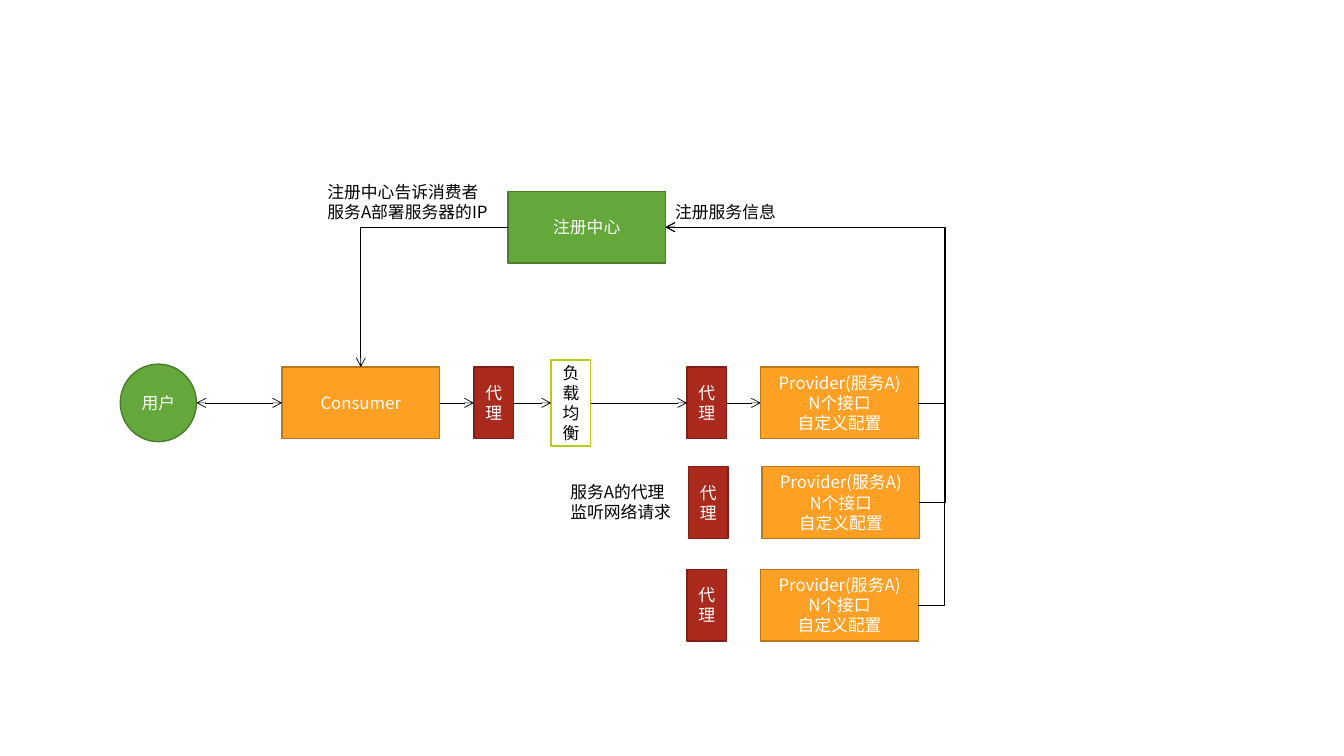
"""Build a service registry diagram: user, consumer, proxies, providers and registry."""
from lxml import etree
from pptx import Presentation
from pptx.dml.color import RGBColor
from pptx.enum.shapes import MSO_CONNECTOR as Connector, MSO_SHAPE as Shape
from pptx.enum.text import MSO_ANCHOR as Anchor, PP_ALIGN as Align
from pptx.oxml.ns import qn
from pptx.util import Pt

FONT = "Noto Sans CJK SC"
BLACK = RGBColor(0x00, 0x00, 0x00)
WHITE = RGBColor(0xFF, 0xFF, 0xFF)
GREEN = (RGBColor(0x64, 0xA7, 0x3B), RGBColor(0x4A, 0x7C, 0x2C))
ORANGE = (RGBColor(0xFD, 0xA0, 0x23), RGBColor(0xBB, 0x76, 0x1A))
RED = (RGBColor(0xAA, 0x2B, 0x1E), RGBColor(0x7E, 0x20, 0x16))
LIME = (WHITE, RGBColor(0xB9, 0xCA, 0x1A))

PROVIDER_TEXT = "Provider(服务A)\nN个接口\n自定义配置"
PROXY_TEXT = "代理"
NOTES = [
    ("注册中心告诉消费者\n服务A部署服务器的IP", 226.8, 126, 136, 36),
    ("注册服务信息", 475.2, 140.4, 136, 21.6),
    ("服务A的代理监听网络请求", 400.3, 340.6, 91.4, 36),
]

BOX = (112.5, 51.2)
STRIP = (28.3, 51.2)
REGISTRY_Y = 162.3
MAIN_Y = 287.8
PROVIDER_ROWS = [(MAIN_Y, 0), (358.9, 0.9), (432.2, 0)]
PROXY_X, PROVIDER_X = 490.8, 543.4
BUS_GAP = 18.8


def write(shape, text, color, align):
    frame = shape.text_frame
    frame.word_wrap = True
    frame.text = text
    for paragraph in frame.paragraphs:
        paragraph.alignment = align
        for run in paragraph.runs:
            run.font.size = Pt(12)
            run.font.name = FONT
            run.font.color.rgb = color
            east_asian = etree.SubElement(run.font._element, qn("a:ea"))
            east_asian.set("typeface", FONT)


def add_node(text, left, middle, size, colors, kind=Shape.RECTANGLE, text_color=WHITE):
    width, height = size
    shape = slide.shapes.add_shape(
        kind, Pt(left), Pt(middle - height / 2), Pt(width), Pt(height))
    shape.shadow.inherit = False
    shape.fill.solid()
    shape.fill.fore_color.rgb, shape.line.color.rgb = colors
    shape.line.width = Pt(1)
    write(shape, text, text_color, Align.CENTER)
    shape.text_frame.vertical_anchor = Anchor.MIDDLE
    return shape


def left_of(shape):
    return shape.left, shape.top + shape.height // 2


def right_of(shape):
    return shape.left + shape.width, shape.top + shape.height // 2


def top_of(shape):
    return shape.left + shape.width // 2, shape.top


def add_arrow(start, end, kind=Connector.STRAIGHT, ends=("tailEnd",)):
    connector = slide.shapes.add_connector(kind, *start, *end)
    connector.line.color.rgb = BLACK
    connector.line.width = Pt(0.5)
    properties = connector._element.spPr
    for tag in ends:
        etree.SubElement(properties.find(qn("a:ln")), qn(f"a:{tag}")).set("type", "arrow")
    etree.SubElement(properties, qn("a:effectLst"))
    return connector, properties.find(qn("a:prstGeom"))


def add_registration(provider, registry):
    connector, geometry = add_arrow(right_of(provider), right_of(registry), Connector.ELBOW)
    ratio = round(-100000 * Pt(BUS_GAP) / connector.width)
    guide = etree.SubElement(geometry.find(qn("a:avLst")), qn("a:gd"))
    guide.set("name", "adj1")
    guide.set("fmla", f"val {ratio}")


presentation = Presentation()
presentation.slide_width, presentation.slide_height = Pt(960), Pt(540)
slide = presentation.slides.add_slide(presentation.slide_layouts[6])

registry = add_node("注册中心", 362.9, REGISTRY_Y, BOX, GREEN)
proxies, providers = [], []
for middle, shift in PROVIDER_ROWS:
    providers.append(add_node(PROVIDER_TEXT, PROVIDER_X + shift, middle, BOX, ORANGE))
    proxies.append(add_node(PROXY_TEXT, PROXY_X + shift, middle, STRIP, RED))
for provider in providers:
    add_registration(provider, registry)

consumer = add_node("Consumer", 201.5, MAIN_Y, BOX, ORANGE)
consumer_proxy = add_node(PROXY_TEXT, 338.5, MAIN_Y, STRIP, RED)
balancer = add_node("负载均衡", 393.7, MAIN_Y, (28.3, 61.4), LIME, text_color=BLACK)
user = add_node("用户", 85.9, MAIN_Y, (54.4, 55.4), GREEN, Shape.OVAL)

chain = [consumer, consumer_proxy, balancer, proxies[0], providers[0]]
for source, target in zip(chain, chain[1:]):
    add_arrow(right_of(source), left_of(target))
add_arrow(right_of(user), left_of(consumer), ends=("headEnd", "tailEnd"))
notice, notice_geometry = add_arrow(left_of(registry), top_of(consumer), Connector.ELBOW)
notice_geometry.set("prst", "bentConnector2")

for text, *bounds in NOTES:
    note = slide.shapes.add_textbox(*map(Pt, bounds))
    write(note, text, BLACK, Align.LEFT)

presentation.save("out.pptx")
